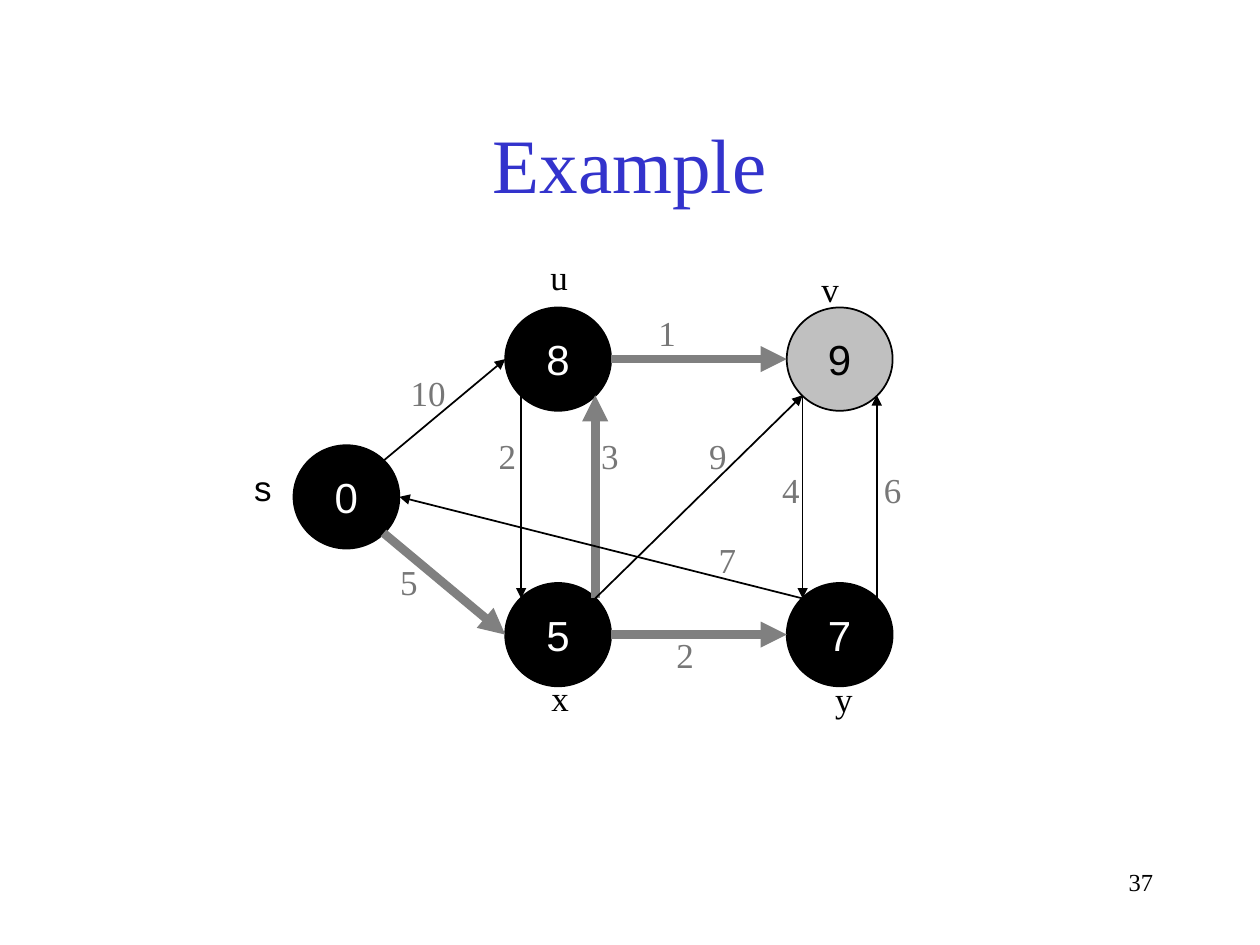
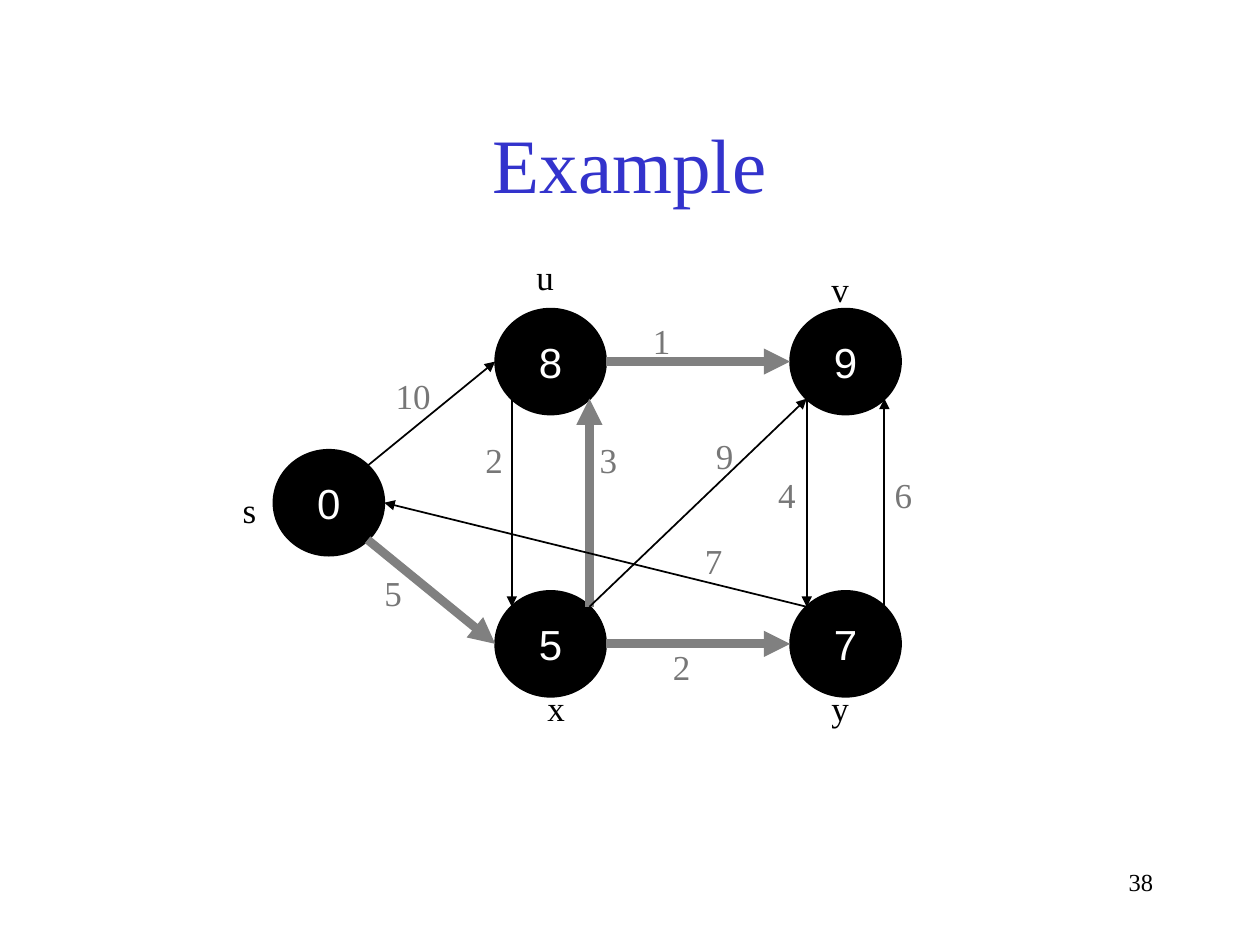
from lxml.etree import SubElement
from pptx import Presentation
from pptx.dml.color import RGBColor
from pptx.enum.shapes import MSO_CONNECTOR, MSO_SHAPE
from pptx.enum.text import MSO_ANCHOR, MSO_AUTO_SIZE, PP_ALIGN
from pptx.oxml.ns import qn
from pptx.util import Inches, Pt

COLORS = {"title": "3333CC", "black": "000000", "white": "FFFFFF",
          "gray": "C0C0C0", "path": "808080", "weight": "777777"}
SERIF, SANS = "Times New Roman", "Arial"

prs = Presentation()
prs.slide_width, prs.slide_height = Inches(10), Inches(7.5)
W, H = prs.slide_width, prs.slide_height


def rgb(name):
    return RGBColor.from_string(COLORS[name])


def write(sp, text, size, color, font=SERIF, align=PP_ALIGN.LEFT,
          anchor=MSO_ANCHOR.TOP, wrap=True):
    tf = sp.text_frame
    tf.word_wrap, tf.vertical_anchor = wrap, anchor
    p = tf.paragraphs[0]
    p.text, p.alignment = text, align
    p.font.size, p.font.name, p.font.color.rgb = Pt(size), font, rgb(color)
    return tf


# The graph's grid: node widths across, node heights down
NODES = {"u": (2, 0, "8"), "v": (4.66, 0, "9"), "x": (2, 8 / 3, "5"),
         "y": (4.66, 8 / 3, "7"), "s": (0, 4 / 3, "0")}

# Points on a node's outline, as shares of its box
PORTS = {"left": (0, 0.5), "right": (1, 0.5),
         "top left": (0.15, 0.15), "top right": (0.85, 0.15),
         "bottom left": (0.15, 0.85), "bottom right": (0.85, 0.85)}

# From, to, weight, on the shortest path, weight's grid place on each slide
EDGES = [
    ("x", "top right", "u", "bottom right", "3", True, (2.79, 1.17), (2.83, 1.17)),
    ("u", "bottom left", "x", "top left", "2", False, (1.82, 1.17), (1.8, 1.17)),
    ("u", "right", "v", "left", "1", True, (3.33, -0.02), (3.31, 0.04)),
    ("x", "top right", "v", "bottom left", "9", False, (3.81, 1.17), (3.88, 1.13)),
    ("v", "bottom left", "y", "top left", "4", False, (4.5, 1.5), (4.44, 1.5)),
    ("y", "top right", "v", "bottom right", "6", False, (5.46, 1.5), (5.49, 1.5)),
    ("x", "right", "y", "left", "2", True, (3.5, 3.1), (3.49, 3.12)),
    ("y", "top left", "s", "right", "7", False, (3.9, 2.18), (3.78, 2.12)),
    ("s", "bottom right", "x", "left", "5", True, (0.89, 2.39), (0.89, 2.42)),
    ("s", "top right", "u", "left", "10", False, (0.99, 0.56), (0.99, 0.56)),
]

# Grid place of each node's name on each slide
NAMES = {"u": ((2.31, -0.56), (2.26, -0.56)), "v": ((4.87, -0.45), (4.92, -0.45)),
         "y": ((5, 3.52), (4.92, 3.51)), "x": ((2.32, 3.51), (2.36, 3.51)),
         "s": ((-0.49, 1.48), (-0.39, 1.64))}

# Page number, grid origin, node size, nodes not yet finished
STEPS = [("37", (2.33, 2.44), (0.84, 0.82), "v"),
         ("38", (2.17, 2.45), (0.88, 0.84), "")]

for step, (page, (left, top), (node_w, node_h), pending) in enumerate(STEPS):
    s = prs.slides.add_slide(prs.slide_layouts[6])
    x0, y0, nw, nh = (Inches(n) for n in (left, top, node_w, node_h))

    # Page number and title
    sp = s.shapes.add_textbox(int(W * 0.717), int(H * 0.911), int(W * 0.208), int(H * 0.067))
    write(sp, page, 14, "black", align=PP_ALIGN.RIGHT)
    sp = s.shapes.add_textbox(int(W * 0.075), int(H * 0.089), int(W * 0.85), int(H * 0.167))
    write(sp, "Example", 44, "title", align=PP_ALIGN.CENTER, anchor=MSO_ANCHOR.MIDDLE)

    # Nodes with their distances
    for node, (col, row, distance) in NODES.items():
        sp = s.shapes.add_shape(MSO_SHAPE.OVAL, int(x0 + col * nw), int(y0 + row * nh), nw, nh)
        sp.shadow.inherit = False
        sp.fill.solid()
        sp.fill.fore_color.rgb = rgb("gray" if node in pending else "black")
        sp.line.color.rgb, sp.line.width = rgb("black"), Pt(1)
        write(sp, distance, 24, "black" if node in pending else "white", SANS,
              PP_ALIGN.CENTER, MSO_ANCHOR.MIDDLE, wrap=False)

    # Edges
    labels = []
    for start, out_port, end, in_port, weight, on_path, *places in EDGES:
        ends = []
        for node, port in ((start, out_port), (end, in_port)):
            ends += [int(x0 + (NODES[node][0] + PORTS[port][0]) * nw),
                     int(y0 + (NODES[node][1] + PORTS[port][1]) * nh)]
        c = s.shapes.add_connector(MSO_CONNECTOR.STRAIGHT, *ends)
        c.line.color.rgb = rgb("path" if on_path else "black")
        c.line.width = Pt(5 if on_path else 1)
        SubElement(c.line._get_or_add_ln(), qn("a:tailEnd"), type="triangle")
        SubElement(c._element.spPr, qn("a:effectLst"))
        labels.append((weight, "weight", places[step]))

    # Node names and edge weights
    labels += [(name, "black", places[step]) for name, places in NAMES.items()]
    for text, color, (col, row) in labels:
        narrow = text == "s" and step == 0
        width = 0.39 if narrow else 1 if text in ("10", "5", "1") else 0.67
        sp = s.shapes.add_textbox(int(x0 + col * nw), int(y0 + row * nh),
                                  int(width * nw), int(H * 0.058))
        tf = write(sp, text, 20, color, SANS if narrow else SERIF,
                   PP_ALIGN.CENTER if narrow else PP_ALIGN.LEFT)
        tf.auto_size = MSO_AUTO_SIZE.SHAPE_TO_FIT_TEXT
        tf.paragraphs[0].space_before = Pt(12.5)

prs.save("out.pptx")
